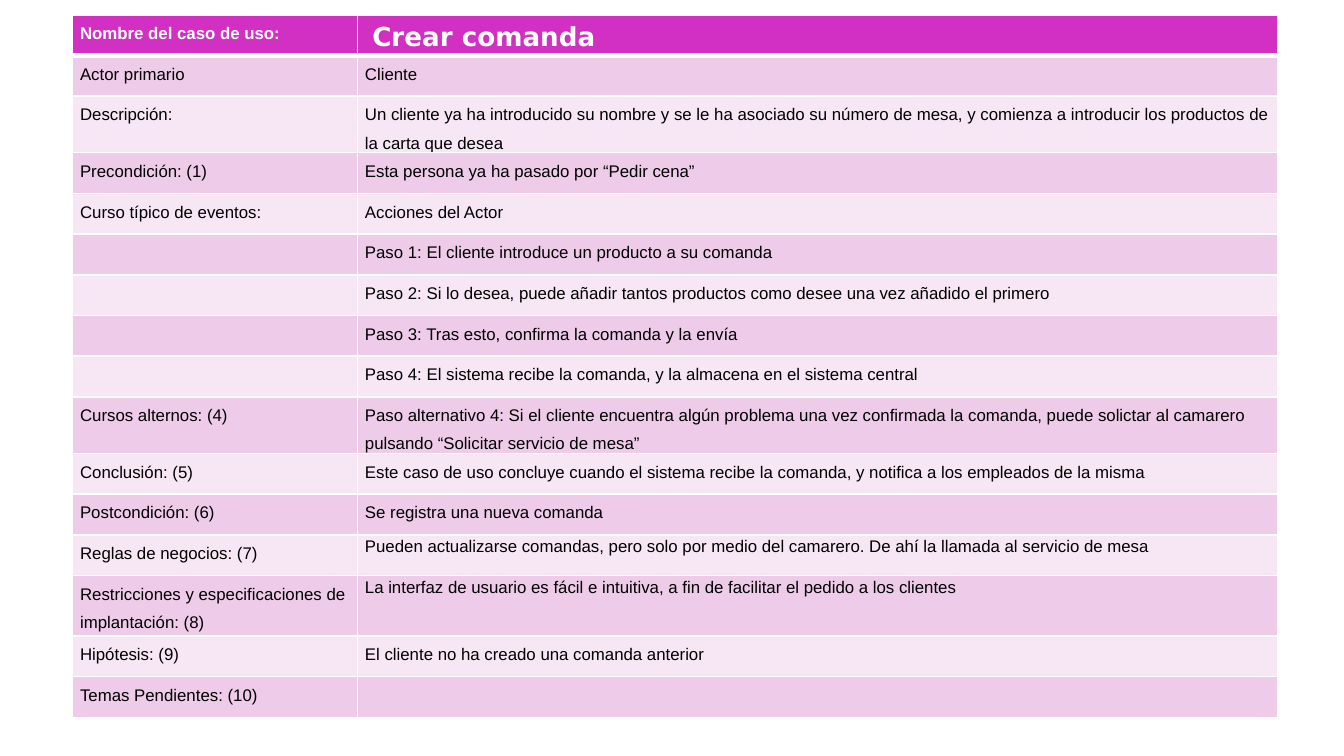
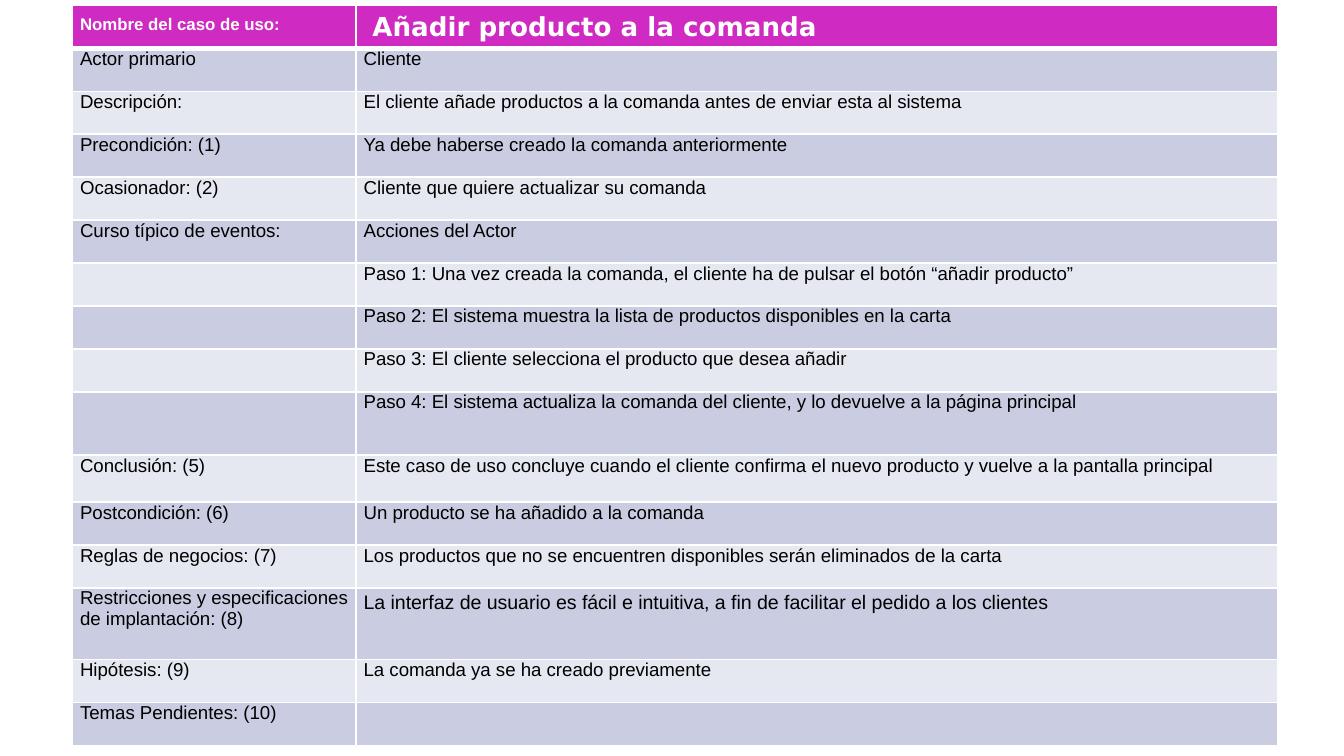
from dataclasses import dataclass

from lxml.etree import SubElement
from pptx import Presentation
from pptx.dml.color import RGBColor as RGB
from pptx.enum.text import MSO_ANCHOR as Anchor, MSO_AUTO_SIZE as AutoSize, PP_ALIGN as Align
from pptx.oxml import parse_xml
from pptx.oxml.ns import nsdecls, qn
from pptx.util import Inches, Pt


@dataclass(frozen=True)
class Theme:
    body_font: str = "Arial"
    title_font: str = "DejaVu Sans"
    title_size: float = 14
    header_size: float = 9
    white: str = "FFFFFF"
    black: str = "000000"
    border: float = 1
    header_border: float = 3
    cell_margin: float = 4


THEME = Theme()
SLIDE_WIDTH = 10
SLIDE_HEIGHT = SLIDE_WIDTH * 9 / 16
TABLE_LEFT = 0.54
TITLE_BOX = {"left": 2.67, "width": 6.63, "height": 0.41}
TITLE_RISE = 0.05  # how far the title starts above the table
HEADER = "Nombre del caso de uso:"
CONCLUSION = "Conclusión: (5)"
RULES = "Reglas de negocios: (7)"
LIMITS = "Restricciones y especificaciones de implantación: (8)"
UPDATES = ("Pueden actualizarse comandas, pero solo por medio del camarero. "
           "De ahí la llamada al servicio de mesa")
STEP_4 = "Paso 4: El sistema actualiza la comanda del cliente, y lo devuelve a la página principal"
EASY_UI = "La interfaz de usuario es fácil e intuitiva, a fin de facilitar el pedido a los clientes"

# "heights" and "formats" hold the exceptions, by the text of a cell.
USE_CASES = [
    {
        "title": "Crear comanda",
        "top": 0.11, "columns": (2.12, 6.85), "row_height": 21.8 / 72,
        "header": "D130C3", "bands": ("EECCE9", "F7E7F4"),
        "size": 9, "spacing": 1.5,
        "heights": {LIMITS: 0.45},
        "formats": {UPDATES: {"spacing": 1.15}, EASY_UI: {"spacing": 1.15}},
        "rows": [
            ("Actor primario", "Cliente"),
            ("Descripción:", "Un cliente ya ha introducido su nombre y se le ha asociado su número "
             "de mesa, y comienza a introducir los productos de la carta que desea"),
            ("Precondición: (1)", "Esta persona ya ha pasado por “Pedir cena”"),
            ("Curso típico de eventos:", "Acciones del Actor"),
            ("", "Paso 1: El cliente introduce un producto a su comanda"),
            ("", "Paso 2: Si lo desea, puede añadir tantos productos como desee una vez añadido el primero"),
            ("", "Paso 3: Tras esto, confirma la comanda y la envía"),
            ("", "Paso 4: El sistema recibe la comanda, y la almacena en el sistema central"),
            ("Cursos alternos: (4)", "Paso alternativo 4: Si el cliente encuentra algún problema una vez "
             "confirmada la comanda, puede solictar al camarero pulsando “Solicitar servicio de mesa”"),
            (CONCLUSION, "Este caso de uso concluye cuando el sistema recibe la comanda, "
             "y notifica a los empleados de la misma"),
            ("Postcondición: (6)", "Se registra una nueva comanda"),
            (RULES, UPDATES),
            (LIMITS, EASY_UI),
            ("Hipótesis: (9)", "El cliente no ha creado una comanda anterior"),
            ("Temas Pendientes: (10)", ""),
        ],
    },
    {
        "title": "Añadir producto a la comanda",
        "top": 0.04, "columns": (2.11, 6.86), "row_height": 0.32,
        "header": "CF2AC1", "bands": ("CACDE1", "E6E8F1"),
        "size": 10, "spacing": 1.0,
        "heights": {STEP_4: 0.47, CONCLUSION: 0.35, LIMITS: 0.53},
        "formats": {EASY_UI: {"size": 10.5, "spacing": 1.15}},
        "rows": [
            ("Actor primario", "Cliente"),
            ("Descripción:", "El cliente añade productos a la comanda antes de enviar esta al sistema"),
            ("Precondición: (1)", "Ya debe haberse creado la comanda anteriormente"),
            ("Ocasionador: (2)", "Cliente que quiere actualizar su comanda"),
            ("Curso típico de eventos:", "Acciones del Actor"),
            ("", "Paso 1: Una vez creada la comanda, el cliente ha de pulsar el botón “añadir producto”"),
            ("", "Paso 2: El sistema muestra la lista de productos disponibles en la carta"),
            ("", "Paso 3: El cliente selecciona el producto que desea añadir"),
            ("", STEP_4),
            (CONCLUSION, "Este caso de uso concluye cuando el cliente confirma el nuevo producto "
             "y vuelve a la pantalla principal"),
            ("Postcondición: (6)", "Un producto se ha añadido a la comanda"),
            (RULES, "Los productos que no se encuentren disponibles serán eliminados de la carta"),
            (LIMITS, EASY_UI),
            ("Hipótesis: (9)", "La comanda ya se ha creado previamente"),
            ("Temas Pendientes: (10)", ""),
        ],
    },
]


def set_attrs(obj, values):
    for name, value in values.items():
        setattr(obj, name, value)


def write(p, text, font, size, color, bold):
    """Put one run in the paragraph; an empty one only keeps its type size."""
    if not text:
        SubElement(p._p, qn("a:endParaRPr"), sz=str(int(size * 100)))
        return
    r = p.add_run()
    r.text = text
    set_attrs(r.font, {"name": font, "size": Pt(size), "bold": bold})
    r.font.color.rgb = RGB.from_string(color)


def set_borders(cell, widths):
    """Draw white borders; widths are points for left, right, top, bottom."""
    tcPr = cell._tc.get_or_add_tcPr()
    for i, (side, width) in enumerate(zip("LRTB", widths)):
        tcPr.insert(i, parse_xml(
            f'<a:ln{side} {nsdecls("a")} w="{Pt(width)}"><a:solidFill>'
            f'<a:srgbClr val="{THEME.white}"/></a:solidFill></a:ln{side}>'))


def format_cell(cell, text, fill, size, spacing, color, bold, top, bottom):
    margin = Pt(THEME.cell_margin)
    set_attrs(cell, {"margin_left": margin, "margin_right": margin,
                     "margin_top": 0, "margin_bottom": 0})
    cell.fill.solid()
    cell.fill.fore_color.rgb = RGB.from_string(fill)
    set_borders(cell, (THEME.border, THEME.border, top, bottom))
    p = cell.text_frame.paragraphs[0]
    p.line_spacing = spacing
    write(p, text, THEME.body_font, size, color, bold)


def add_use_case_table(s, case):
    rows = [(HEADER, ""), *case["rows"]]
    heights = [next((case["heights"][t] for t in row if t in case["heights"]), case["row_height"])
               for row in rows]
    table = s.shapes.add_table(
        len(rows), len(case["columns"]), Inches(TABLE_LEFT), Inches(case["top"]),
        Inches(sum(case["columns"])), Inches(sum(heights))).table
    for column, width in zip(table.columns, case["columns"]):
        column.width = Inches(width)
    for i, (row, height) in enumerate(zip(rows, heights)):
        table.rows[i].height = Inches(height)
        if i == 0:
            look = {"fill": case["header"], "size": THEME.header_size, "spacing": 1.5,
                    "color": THEME.white, "bold": True}
        else:
            look = {"fill": case["bands"][(i - 1) % 2], "size": case["size"],
                    "spacing": case["spacing"], "color": THEME.black, "bold": False}
        look["top"] = THEME.header_border if i == 1 else THEME.border
        look["bottom"] = THEME.header_border if i == 0 else THEME.border
        for j, text in enumerate(row):
            format_cell(table.cell(i, j), text, **{**look, **case["formats"].get(text, {})})


def place_title(s, case):
    """Set the title over the header row, in front of the table."""
    title = s.shapes.title
    box = {**TITLE_BOX, "top": case["top"] - TITLE_RISE}
    set_attrs(title, {name: Inches(value) for name, value in box.items()})
    tf = title.text_frame
    set_attrs(tf, {"auto_size": AutoSize.NONE, "word_wrap": True, "vertical_anchor": Anchor.MIDDLE,
                   "margin_left": Inches(0.1), "margin_right": Inches(0.1),
                   "margin_top": Inches(0.05), "margin_bottom": Inches(0.05)})
    p = tf.paragraphs[0]
    p.alignment = Align.LEFT
    write(p, case["title"], THEME.title_font, THEME.title_size, THEME.white, True)
    title.element.getparent().append(title.element)


def main():
    prs = Presentation()
    prs.slide_width = Inches(SLIDE_WIDTH)
    prs.slide_height = Inches(SLIDE_HEIGHT)
    for case in USE_CASES:
        s = prs.slides.add_slide(prs.slide_layouts[5])
        add_use_case_table(s, case)
        place_title(s, case)
    prs.save("out.pptx")


if __name__ == "__main__":
    main()
